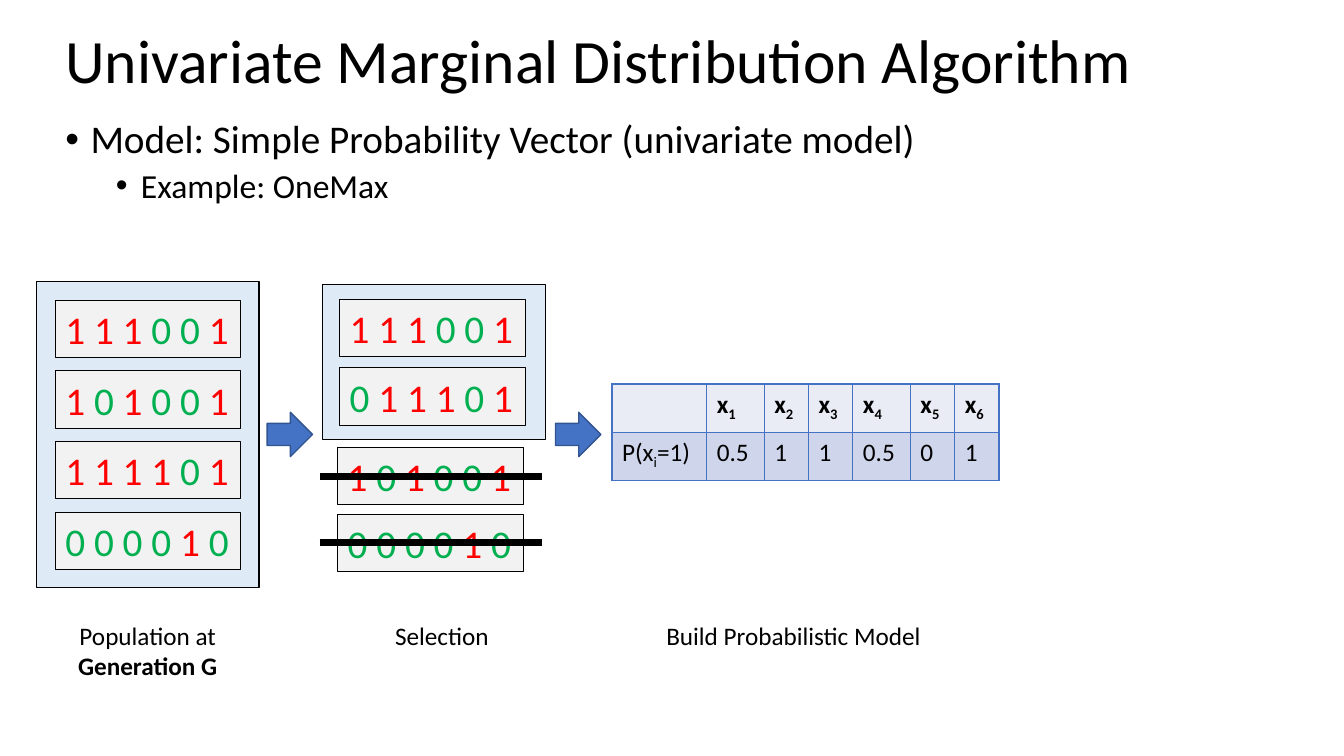
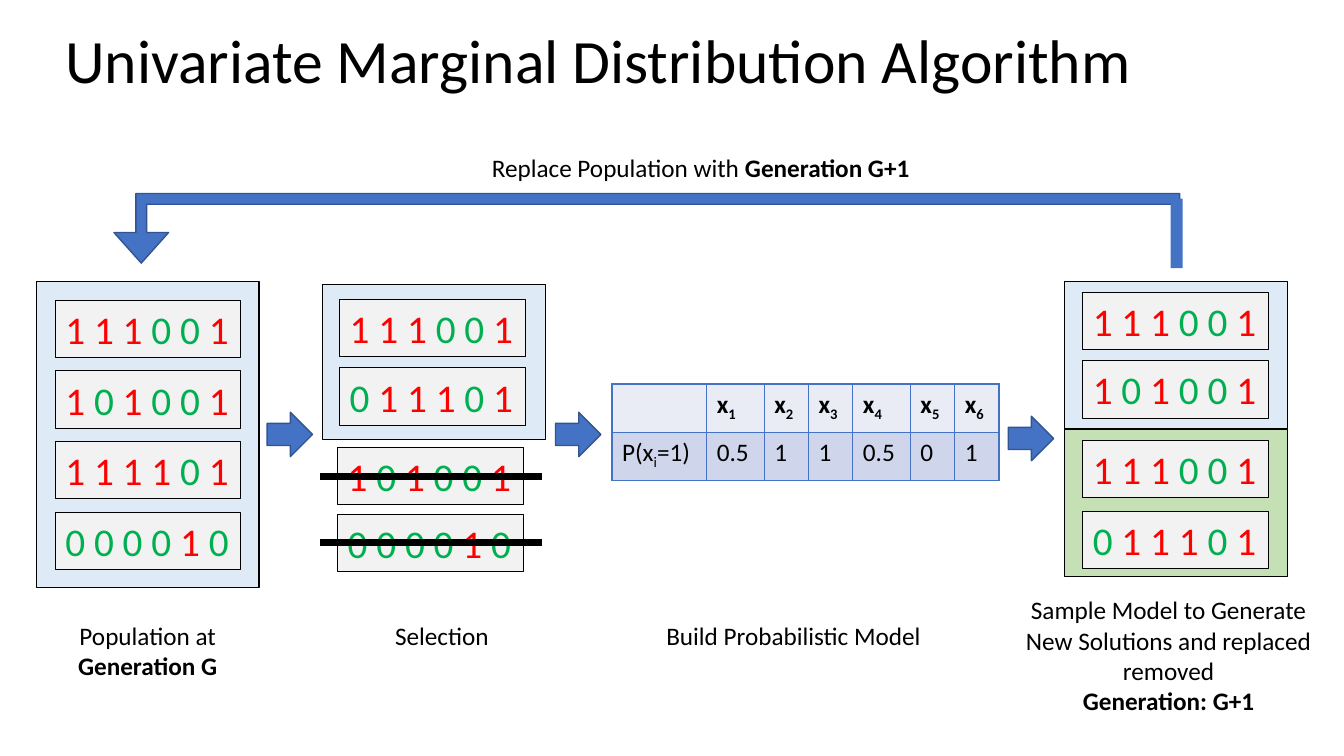
"""Builds two slides on the univariate marginal distribution algorithm."""
from itertools import groupby

from lxml.etree import SubElement
from pptx import Presentation
from pptx.dml.color import RGBColor
from pptx.enum.shapes import MSO_CONNECTOR as Connector, MSO_SHAPE as Shape
from pptx.enum.text import MSO_ANCHOR as Anchor, MSO_AUTO_SIZE as AutoSize, PP_ALIGN as Align
from pptx.oxml.ns import qn
from pptx.util import Inches, Pt

BLACK = RGBColor(0x00, 0x00, 0x00)
RED = RGBColor(0xFF, 0x00, 0x00)
GREEN = RGBColor(0x00, 0xB0, 0x50)
GREY = RGBColor(0xF2, 0xF2, 0xF2)
PALE_BLUE = RGBColor(0xDE, 0xEB, 0xF7)
PALE_GREEN = RGBColor(0xC5, 0xE0, 0xB4)
BLUE = RGBColor(0x44, 0x72, 0xC4)
DARK_BLUE = RGBColor(0x32, 0x54, 0x91)
HEAD_FILL = RGBColor(0xE9, 0xEB, 0xF5)
BODY_FILL = RGBColor(0xCF, 0xD5, 0xEA)

BIT_COLORS = {"0": GREEN, "1": RED}
BOLD = {"bold": True}
SUB = {"subscript": True}
GENOME_WIDTH, GENOME_HEIGHT = 1.84, 0.57
PANEL_WIDTH = 2.21
CAPTION_TOP = 6.1
COLUMNS = [0.94, 0.57, 0.44, 0.44, 0.57, 0.44, 0.44]
PROBABILITIES = ["0.5", "1", "1", "0.5", "0", "1"]


class Slides:
    """Holds the deck style and draws on the current slide."""

    font = {"name": "Calibri", "size": Pt(18), "bold": False, "color": BLACK}

    def __init__(self):
        self.deck = Presentation()
        self.deck.slide_width = Inches(13.33)
        self.deck.slide_height = Inches(7.5)
        self.page = None

    def new_page(self, title):
        """Starts a blank slide with its title."""
        self.page = self.deck.slides.add_slide(self.deck.slide_layouts[6])
        box = self.text((0.55, -0.09, 12.2, 1.45), [[(title, {"size": Pt(44)})]],
                        auto_size=AutoSize.NONE, vertical_anchor=Anchor.MIDDLE)
        box.text_frame.paragraphs[0].line_spacing = 0.9

    def add_spans(self, para, spans):
        """Adds formatted spans to a paragraph."""
        for words, changes in spans:
            span = para.add_run()
            span.text = words
            style = {**self.font, **changes}
            span.font.color.rgb = style.pop("color")
            if style.pop("subscript", False):
                span._r.get_or_add_rPr().set("baseline", "-25000")
            for key, value in style.items():
                setattr(span.font, key, value)

    def text(self, place, paragraphs, align=Align.LEFT, **frame_format):
        """Adds a text box of paragraphs, each a list of spans."""
        box = self.page.shapes.add_textbox(*map(Inches, place))
        frame = box.text_frame
        settings = {"word_wrap": True, "auto_size": AutoSize.SHAPE_TO_FIT_TEXT, **frame_format}
        for key, value in settings.items():
            setattr(frame, key, value)
        for index, spans in enumerate(paragraphs):
            para = frame.add_paragraph() if index else frame.paragraphs[0]
            para.alignment = align
            self.add_spans(para, spans)
        return box

    def bullets(self, place, items):
        """Adds bullets given as text, size, left margin and space before."""
        paragraphs = [[(words, {"size": Pt(size)})] for words, size, _, _ in items]
        box = self.text(place, paragraphs, auto_size=AutoSize.NONE)
        for para, (_, _, margin, before) in zip(box.text_frame.paragraphs, items):
            para.line_spacing = 0.9
            para.space_before = Pt(before)
            props = para._p.get_or_add_pPr()
            props.set("marL", str(Inches(margin)))
            props.set("indent", str(Inches(-0.25)))
            SubElement(props, qn("a:buFont")).set("typeface", "Arial")
            SubElement(props, qn("a:buChar")).set("char", "•")

    def shape(self, kind, place, fill, line=BLACK, width=1):
        """Adds a preset shape without shadow."""
        box = self.page.shapes.add_shape(kind, *map(Inches, place))
        box.shadow.inherit = False
        box.fill.solid()
        box.fill.fore_color.rgb = fill
        if line is None:
            box.line.fill.background()
        else:
            box.line.color.rgb = line
            box.line.width = Pt(width)
        return box

    def panel(self, left, top, height, fill=PALE_BLUE):
        """Adds a panel that holds genomes."""
        self.shape(Shape.RECTANGLE, (left, top, PANEL_WIDTH, height), fill)

    def arrow(self, left, top):
        """Adds a block arrow between two steps."""
        self.shape(Shape.RIGHT_ARROW, (left, top, 0.45, 0.44), BLUE, DARK_BLUE)

    def genomes(self, left, top, pitch, rows, struck=False):
        """Stacks bit strings, struck through if rejected."""
        for index, bits in enumerate(rows):
            row_top = top + index * pitch
            box = self.shape(Shape.RECTANGLE, (left, row_top, GENOME_WIDTH, GENOME_HEIGHT),
                             GREY, width=0.75)
            frame = box.text_frame
            frame.vertical_anchor = Anchor.TOP
            frame.auto_size = AutoSize.SHAPE_TO_FIT_TEXT
            para = frame.paragraphs[0]
            para.alignment = Align.LEFT
            spans = [[" ".join(group), {"size": Pt(28), "color": BIT_COLORS[bit]}]
                     for bit, group in groupby(bits)]
            for span in spans[:-1]:
                span[0] += " "
            self.add_spans(para, spans)
            if struck:
                self.strike(left - 0.18, row_top + GENOME_HEIGHT / 2)

    def strike(self, left, top):
        """Adds a thick horizontal line."""
        line = self.page.shapes.add_connector(
            Connector.STRAIGHT, *map(Inches, (left, top, left + PANEL_WIDTH, top)))
        line.line.color.rgb = BLACK
        line.line.width = Pt(4.75)
        SubElement(line._element.spPr, qn("a:effectLst"))

    def table(self, left, top, columns, row_height, rows):
        """Adds a bordered table whose cells are lists of spans."""
        place = (left, top, sum(columns), row_height * len(rows))
        table = self.page.shapes.add_table(len(rows), len(columns), *map(Inches, place)).table
        for column, width in zip(table.columns, columns):
            column.width = Inches(width)
        for r, (fill, cells) in enumerate(rows):
            for c, spans in enumerate(cells):
                cell = table.cell(r, c)
                self.borders(cell)
                cell.fill.solid()
                cell.fill.fore_color.rgb = fill
                self.add_spans(cell.text_frame.paragraphs[0], spans)

    def borders(self, cell):
        """Draws the four borders of a cell."""
        props = cell._tc.get_or_add_tcPr()
        for side in ("lnL", "lnR", "lnT", "lnB"):
            line = SubElement(props, qn(f"a:{side}"))
            line.set("w", str(Pt(1)))
            fill = SubElement(line, qn("a:solidFill"))
            SubElement(fill, qn("a:srgbClr")).set("val", str(BLUE))

    def model_steps(self):
        """Draws population, selection and probability model."""
        self.panel(0.36, 2.79, 3.04)
        self.genomes(0.55, 2.98, 0.7, ["111001", "101001", "111101", "000010"])
        self.text((0.36, CAPTION_TOP, PANEL_WIDTH, 0.71),
                  [[("Population at ", {}), ("Generation G", BOLD)]], Align.CENTER)
        self.arrow(2.65, 4.09)

        self.panel(3.2, 2.82, 1.54)
        self.genomes(3.37, 2.97, 0.68, ["111001", "011101"])
        self.genomes(3.35, 4.44, 0.66, ["101001", "000010"], struck=True)
        self.text((3.82, CAPTION_TOP, 1.14, 0.4), [[("Selection", {})]], word_wrap=False)
        self.arrow(5.51, 4.09)

        head = [[]] + [[("x", BOLD), (str(i), {**BOLD, **SUB})] for i in range(1, 7)]
        values = [[("P(x", {}), ("i", SUB), ("=1)", {})]] + [[(p, {})] for p in PROBABILITIES]
        self.table(6.07, 3.81, COLUMNS, 0.48, [(HEAD_FILL, head), (BODY_FILL, values)])
        self.text((6.51, CAPTION_TOP, 2.75, 0.4), [[("Build Probabilistic Model", {})]],
                  word_wrap=False)

    def next_generation(self):
        """Draws the sampled generation and the way back."""
        self.arrow(10, 4.13)
        self.panel(10.56, 4.26, 1.46, PALE_GREEN)
        self.panel(10.56, 2.79, 1.46)
        self.genomes(10.74, 2.9, 0.68, ["111001", "101001"])
        self.genomes(10.74, 4.37, 0.7, ["111001", "011101"])
        self.text((10, 5.85, 3.18, 1.31),
                  [[("Sample Model to Generate New Solutions and replaced removed", {})],
                   [("Generation: G+1", BOLD)]], Align.CENTER)

        loop = self.shape(Shape.BENT_UP_ARROW, (1.13, 1.92, 10.57, 0.69), BLUE, DARK_BLUE)
        loop.rotation = 180
        for index, value in enumerate((0.155, 0.393, 0.44)):
            loop.adjustments[index] = value
        self.shape(Shape.RECTANGLE, (11.61, 1.97, 0.12, 0.69), BLUE, line=None)
        self.text((4.78, 1.46, 4.37, 0.4),
                  [[("Replace Population with ", {}), ("Generation G+1", BOLD)]],
                  word_wrap=False)


def main():
    title = "Univariate Marginal Distribution Algorithm"
    slides = Slides()

    slides.new_page(title)
    slides.bullets((0.55, 1.14, 12.2, 1.06), [
        ("Model: Simple Probability Vector (univariate model)", 28, 0.25, 10),
        ("Example: OneMax", 24, 0.75, 5),
    ])
    slides.model_steps()

    slides.new_page(title)
    slides.model_steps()
    slides.next_generation()

    slides.deck.save("out.pptx")


if __name__ == "__main__":
    main()
